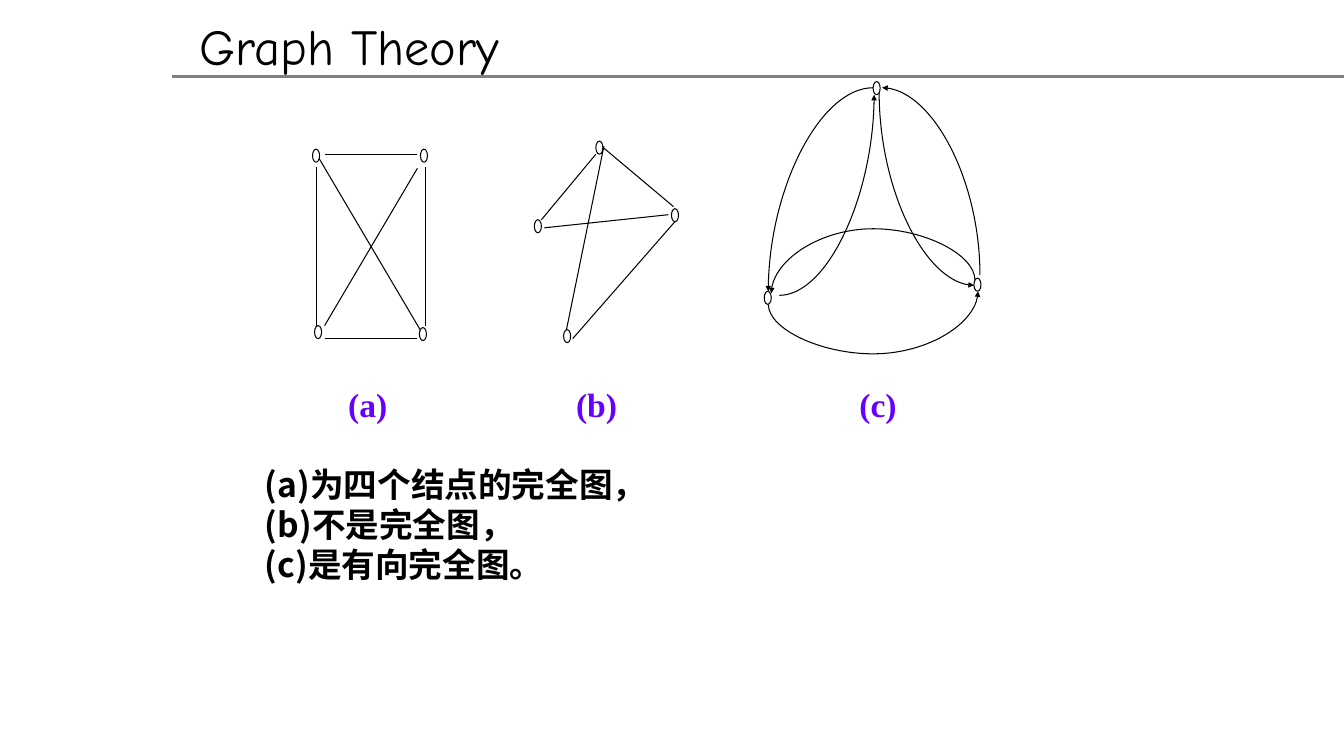
from pptx import Presentation
from pptx.dml.color import RGBColor
from pptx.enum.shapes import MSO_CONNECTOR, MSO_SHAPE
from pptx.enum.text import MSO_AUTO_SIZE, PP_ALIGN
from pptx.oxml.ns import qn
from pptx.util import Inches, Pt
from lxml import etree

STRAIGHT, CURVE = MSO_CONNECTOR.STRAIGHT, MSO_CONNECTOR.CURVE
OVAL = MSO_SHAPE.OVAL
LEFT, JUSTIFY = PP_ALIGN.LEFT, PP_ALIGN.JUSTIFY
GROW, FIXED = MSO_AUTO_SIZE.SHAPE_TO_FIT_TEXT, MSO_AUTO_SIZE.NONE

COLORS = {"ink": "000000", "node": "FFFFFF", "rule": "808080",
          "label": "6600FF"}

# The slide is a grid of square cells, 133.3 columns by 75 rows.
CELL = Inches(0.1)
COLUMNS, ROWS = 133.3, 75
NODE_W, NODE_H = 0.7, 1.3
LABEL_W, LABEL_H = 6.4, 5


def cells(*counts):
    return [round(count * CELL) for count in counts]


def color(key):
    return RGBColor.from_string(COLORS[key])


def add_text(slide, box, lines, font, size, ink, bold=False, wrap=True,
             align=LEFT, fit=GROW):
    frame = slide.shapes.add_textbox(*cells(*box)).text_frame
    frame.text = "\n".join(lines)
    frame.word_wrap, frame.auto_size = wrap, fit
    for paragraph in frame.paragraphs:
        paragraph.alignment = align
        for run in paragraph.runs:
            run.font.name, run.font.size, run.font.bold = font, Pt(size), bold
            run.font.color.rgb = color(ink)
            east_asian = etree.SubElement(run.font._element, qn("a:ea"))
            east_asian.set("typeface", font)


def add_line(slide, start, end, ink="ink", width=0.75, kind=STRAIGHT):
    line = slide.shapes.add_connector(kind, *cells(*start, *end))
    line.line.color.rgb, line.line.width = color(ink), Pt(width)
    etree.SubElement(line._element.spPr, qn("a:effectLst"))
    return line


def add_arc(slide, start, end, turns, bulge=None):
    """Curved arrow; turns counts clockwise quarter turns, bulge bows it."""
    dx, dy = end[0] - start[0], end[1] - start[1]
    # Undo the rotation to get the span before turning about the centre.
    span = [(dx, dy), (dy, -dx), (-dx, -dy), (-dy, dx)][turns]
    centre = [(a + b) / 2 for a, b in zip(start, end)]
    arc = add_line(slide, [c - s / 2 for c, s in zip(centre, span)],
                   [c + s / 2 for c, s in zip(centre, span)], kind=CURVE)
    properties = arc._element.spPr
    properties.find(qn("a:xfrm")).set("rot", str(turns * 5400000))
    geometry = properties.find(qn("a:prstGeom"))
    if bulge is None:
        geometry.set("prst", "curvedConnector2")
    else:
        adjustments = geometry.find(qn("a:avLst"))
        if adjustments is None:
            adjustments = etree.SubElement(geometry, qn("a:avLst"))
        guide = etree.SubElement(adjustments, qn("a:gd"))
        guide.set("name", "adj1")
        guide.set("fmla", f"val {round(bulge * 100000)}")
    arrowhead = etree.SubElement(properties.find(qn("a:ln")), qn("a:tailEnd"))
    for key, value in (("type", "triangle"), ("w", "sm"), ("len", "sm")):
        arrowhead.set(key, value)


def add_node(slide, corner):
    node = slide.shapes.add_shape(OVAL, *cells(*corner, NODE_W, NODE_H))
    node.shadow.inherit = False
    node.fill.solid()
    node.fill.fore_color.rgb = color("node")
    node.line.color.rgb, node.line.width = color("ink"), Pt(0.75)


def add_graph(slide, origin, name, label_at, nodes, edges=(), arcs=()):
    """Graph whose points are counted in cells from its origin."""
    def place(point):
        return origin[0] + point[0], origin[1] + point[1]

    for start, end in edges:
        add_line(slide, place(start), place(end))
    for start, end, *bend in arcs:
        add_arc(slide, place(start), place(end), *bend)
    for corner in nodes:
        add_node(slide, place(corner))
    add_text(slide, (*place(label_at), LABEL_W, LABEL_H), [name],
             "Times New Roman", 24, "label", bold=True, wrap=False)


def add_header(slide, box):
    left, top, width, height = box
    add_line(slide, (left + 17.1, top + height), (left + width, top + height),
             "rule", 2)
    add_text(slide, (left + 18.8, top + 1, 86.2, 7.1), ["Graph Theory"],
             "Comic Neue", 36, "ink")


def add_graphs(slide, left, top):
    add_graph(
        slide, (left, top + 5.9), "(a)", (2.55, 23.6),
        nodes=[(0, 0.8), (10.7, 0.8), (0.2, 18.3), (10.6, 18.5)],
        edges=[((1.2, 1.3), (10.4, 1.3)), ((0.4, 2.6), (0.4, 18.3)),
               ((1.2, 19.6), (10.4, 19.6)), ((11.2, 2.6), (11.2, 18.3)),
               ((0.4, 1.3), (11.2, 19.6)), ((1.2, 18.3), (10.4, 2.7))])
    add_graph(
        slide, (left + 22, top + 5.9), "(b)", (3.15, 23.6),
        nodes=[(6.1, 0), (13.6, 6.7), (0, 7.8), (2.9, 18.7)],
        edges=[((0.7, 7.8), (6.1, 1.3)), ((6.9, 0.7), (13.8, 6.5)),
               ((1, 8.6), (13.3, 7.3)), ((14.2, 7.7), (3.8, 19.6)),
               ((6.9, 0.5), (3, 19.6))])
    add_graph(
        slide, (left + 44.8, top), "(c)", (8.45, 29.5),
        nodes=[(20.8, 19.5), (10.8, 0), (0, 20.8)],
        arcs=[((0.4, 22.1), (21.2, 20.8), 1, -3.78),
              ((20.9, 19.7), (0.7, 21), 3, -3.93),
              ((10.8, 0.6), (0.4, 20.8), 2), ((21.4, 19.2), (11.7, 0.6), 1),
              ((1.5, 21.2), (10.9, 1.3), 0), ((11.4, 1), (20.8, 20.2), 3)])


def add_conclusions(slide, box):
    add_text(slide, box,
             ["(a)为四个结点的完全图，", "(b)不是完全图，", "(c)是有向完全图。"],
             "Noto Sans CJK SC", 24, "ink", bold=True, align=JUSTIFY, fit=FIXED)


def main():
    presentation = Presentation()
    presentation.slide_width, presentation.slide_height = cells(COLUMNS, ROWS)
    slide = presentation.slides.add_slide(presentation.slide_layouts[6])
    add_header(slide, (0, 0, COLUMNS, 7.6))
    add_graphs(slide, 31, 8.1)
    add_conclusions(slide, (25.3, 45.5, 82.7, 24.1))
    presentation.save("out.pptx")


if __name__ == "__main__":
    main()
